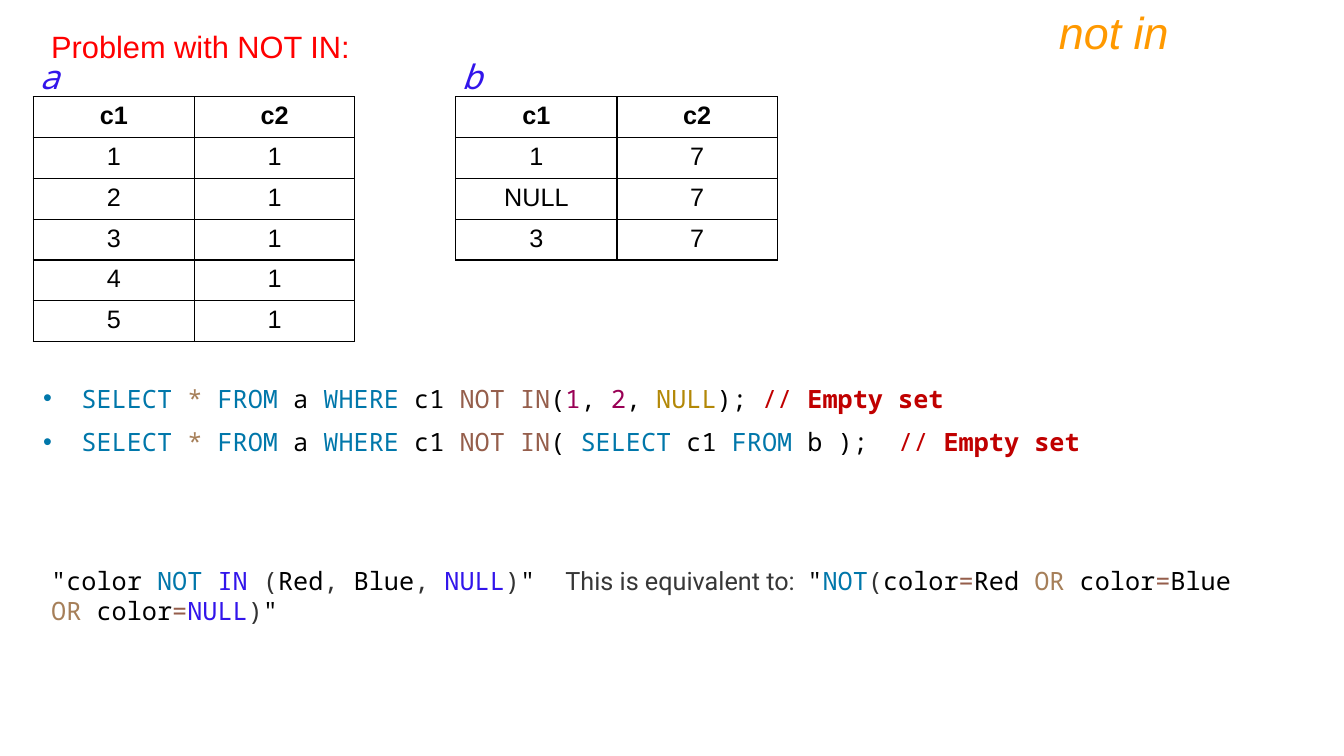
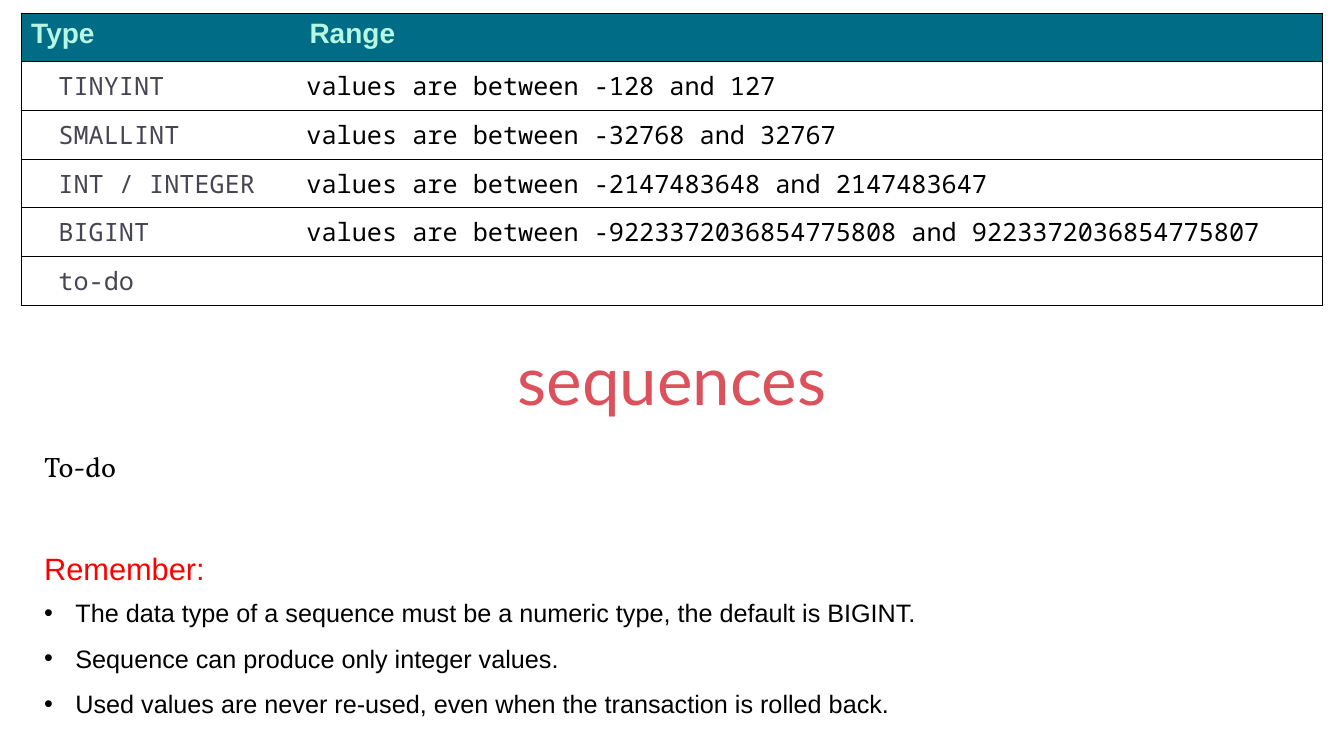
from dataclasses import dataclass
from typing import NamedTuple

from lxml.etree import SubElement
from pptx import Presentation
from pptx.dml.color import RGBColor
from pptx.enum.text import MSO_ANCHOR as Anchor, PP_ALIGN as Align
from pptx.oxml.ns import qn
from pptx.slide import Slide
from pptx.util import Emu, Pt

PX = 9144
SANS, MONO, ROBOTO, LATO, SERIF = "Arial", "Noto Sans Mono", "Roboto", "Lato", "Vollkorn"

BLACK = RGBColor(0x00, 0x00, 0x00)
RED = RGBColor(0xFF, 0x00, 0x00)
ORANGE = RGBColor(0xFF, 0x99, 0x00)
ROSE = RGBColor(0xDC, 0x52, 0x5C)
TEAL = RGBColor(0x00, 0x6C, 0x86)
MINT = RGBColor(0xB7, 0xF7, 0xE2)
SLATE = RGBColor(0x46, 0x46, 0x53)
KEYWORD = RGBColor(0x00, 0x77, 0xAA)
OPERATOR = RGBColor(0xA6, 0x7F, 0x59)
NEGATION = RGBColor(0x95, 0x5E, 0x4B)
NUMBER = RGBColor(0x99, 0x00, 0x55)
NULL_GOLD = RGBColor(0xB3, 0x88, 0x07)
COMMENT = RGBColor(0xC0, 0x00, 0x00)
VIOLET = RGBColor(0x32, 0x15, 0xEB)
BRACKET = RGBColor(0x33, 0x33, 0x33)
PROSE = RGBColor(0x37, 0x37, 0x37)


class Span(NamedTuple):
    text: str
    color: RGBColor = BLACK
    bold: bool = False
    font: str | None = None


class Rect(NamedTuple):
    left: int
    top: int
    width: int
    height: int

    def emu(self) -> list[Emu]:
        return [px(length) for length in self]


@dataclass
class Para:
    spans: list[Span]
    size: int
    font: str = SANS
    bold: bool = False
    italic: bool = False
    align: Align = Align.LEFT
    indent: int = 0
    before: float = 0
    line: float | None = None


@dataclass
class Grid:
    area: Rect
    columns: list[int]
    rows: list[list[Para]]
    border: float
    inner_sides: bool = True
    header_fill: RGBColor | None = None
    body_margins: list[int] | None = None


def px(length: float) -> Emu:
    return Emu(round(length * PX))


def write_para(para, content: Para) -> None:
    para.alignment = content.align
    if content.before:
        para.space_before = Pt(content.before)
    if content.line:
        para.line_spacing = content.line
    if content.indent:
        properties = para._p.get_or_add_pPr()
        properties.set("marL", str(px(content.indent)))
        properties.set("indent", str(-px(content.indent)))
        SubElement(properties, qn("a:buFont")).set("typeface", SANS)
        SubElement(properties, qn("a:buChar")).set("char", "•")
    para.font.name = content.font
    para.font.size = Pt(content.size)
    para.font.bold = content.bold
    para.font.italic = content.italic
    for part in content.spans:
        span = para.add_run()
        span.text = part.text
        span.font.color.rgb = part.color
        if part.bold:
            span.font.bold = True
        if part.font:
            span.font.name = part.font


def add_text(page: Slide, area: Rect, *contents: Para) -> None:
    frame = page.shapes.add_textbox(*area.emu()).text_frame
    frame.word_wrap = True
    for index, content in enumerate(contents):
        para = frame.add_paragraph() if index else frame.paragraphs[0]
        write_para(para, content)


def add_borders(cell, sides: str, width: float) -> None:
    properties = cell._tc.get_or_add_tcPr()
    for side in "LRTB":
        visible = side in sides
        line = SubElement(properties, qn(f"a:ln{side}"))
        line.set("w", str(Pt(width) if visible else 0))
        fill = SubElement(line, qn("a:solidFill" if visible else "a:noFill"))
        if visible:
            SubElement(fill, qn("a:srgbClr")).set("val", str(BLACK))


def add_grid(page: Slide, grid: Grid) -> None:
    count, last = len(grid.rows), len(grid.columns) - 1
    table = page.shapes.add_table(count, last + 1, *grid.area.emu()).table
    table.first_row = table.horz_banding = False
    for column, width in zip(table.columns, grid.columns):
        column.width = px(width)
    for r, contents in enumerate(grid.rows):
        table.rows[r].height = px(grid.area.height / count)
        for c, content in enumerate(contents):
            cell = table.cell(r, c)
            sides = "TB"
            if grid.inner_sides or c == 0:
                sides += "L"
            if grid.inner_sides or c == last:
                sides += "R"
            add_borders(cell, sides, grid.border)
            if r == 0 and grid.header_fill:
                cell.fill.solid()
                cell.fill.fore_color.rgb = grid.header_fill
            else:
                cell.fill.background()
            if r and grid.body_margins:
                cell.vertical_anchor = Anchor.MIDDLE
                cell.margin_left = px(grid.body_margins[c])
                cell.margin_right = px(7)
                cell.margin_top = cell.margin_bottom = 0
            write_para(cell.text_frame.paragraphs[0], content)


def heading(text: str, line: float | None = None) -> Para:
    return Para([Span(text, RED)], 22, line=line)


def add_relation(page: Slide, name: str, left: int, records: list[tuple[str, str]]) -> None:
    rows = [
        [Para([Span(value)], 18, bold=r == 0, align=Align.CENTER) for value in record]
        for r, record in enumerate([("c1", "c2"), *records])
    ]
    area = Rect(left, 96, 319, round(40.5 * len(rows)))
    add_grid(page, Grid(area, [160, 159], rows, border=1))
    add_text(page, Rect(left - 4, 51, 39, 50), Para([Span(name, VIOLET)], 24, MONO, italic=True))


def build_not_in(page: Slide) -> None:
    add_text(page, Rect(41, 4, 900, 59), heading("Problem with NOT IN:", 1.5))
    add_text(page, Rect(169, 0, 1000, 64),
             Para([Span("not in", ORANGE)], 32, italic=True, align=Align.RIGHT))
    add_relation(page, "a", 33, [(str(n), "1") for n in range(1, 6)])
    add_relation(page, "b", 452, [(key, "7") for key in ("1", "NULL", "3")])

    query = [
        Span("SELECT ", KEYWORD), Span("* ", OPERATOR), Span("FROM", KEYWORD), Span(" a "),
        Span("WHERE", KEYWORD), Span(" c1 "), Span("NOT IN", NEGATION),
    ]
    result = [Span("// ", COMMENT), Span("Empty set", COMMENT, bold=True)]
    literals = [
        Span("("), Span("1", NUMBER), Span(", "), Span("2", NUMBER), Span(", "),
        Span("NULL", NULL_GOLD), Span("); "),
    ]
    subquery = [
        Span("( "), Span("SELECT ", KEYWORD), Span("c1"), Span(" FROM ", KEYWORD), Span("b );  "),
    ]
    add_text(page, Rect(33, 375, 1299, 84),
             Para(query + literals + result, 18, MONO, indent=38),
             Para(query + subquery + result, 18, MONO, indent=38, before=9.3))

    equals, either = Span("=", NEGATION), Span("OR ", OPERATOR)
    opening, closing, comma = Span("(", BRACKET), Span(")", BRACKET), Span(", ", BRACKET)
    null = Span("NULL", VIOLET)
    add_text(page, Rect(41, 556, 1193, 40), Para([
        Span('"color '), Span("NOT ", KEYWORD), Span("IN ", VIOLET), opening, Span("Red"), comma,
        Span("Blue"), comma, null, closing, Span('"  '),
        Span("This is equivalent to:  ", PROSE, font=ROBOTO),
        Span('"'), Span("NOT", KEYWORD), opening, Span("color"), equals, Span("Red "), either,
        Span("color"), equals, Span("Blue "), either, Span("color"), equals, null, closing,
        Span('"'),
    ], 18, MONO))


def build_sequences(page: Slide) -> None:
    ranges = [
        ("TINYINT", "values are between -128 and 127"),
        ("SMALLINT", "values are between -32768 and 32767"),
        ("INT / INTEGER", "values are between -2147483648 and 2147483647"),
        ("BIGINT", "values are between -9223372036854775808 and 9223372036854775807"),
        ("to-do", ""),
    ]
    rows = [[Para([Span(title, MINT)], 20, bold=True) for title in ("Type", "Range")]]
    for name, limits in ranges:
        values = [Span(limits)] if limits else []
        rows.append([Para([Span(name, SLATE)], 18, MONO), Para(values, 18, MONO)])
    add_grid(page, Grid(Rect(21, 13, 1291, 290), [276, 1015], rows, border=0.75,
                        inner_sides=False, header_fill=TEAL, body_margins=[37, 7]))

    add_text(page, Rect(183, 331, 967, 100),
             Para([Span("sequences", ROSE)], 48, LATO, align=Align.CENTER))
    add_text(page, Rect(34, 441, 1263, 44), Para([Span("To-do")], 20, SERIF))
    facts = [
        "The data type of a sequence must be a numeric type, the default is BIGINT.",
        "Sequence can produce only integer values.",
        "Used values are never re-used, even when the transaction is rolled back.",
    ]
    add_text(page, Rect(34, 540, 1263, 175), heading("Remember:"), *(
        Para([Span(fact)], 18, indent=31, before=10.8 if index else 8.2)
        for index, fact in enumerate(facts)
    ))


def main() -> None:
    deck = Presentation()
    deck.slide_width, deck.slide_height = px(1333), px(750)
    for build in (build_not_in, build_sequences):
        build(deck.slides.add_slide(deck.slide_layouts[6]))
    deck.save("out.pptx")


if __name__ == "__main__":
    main()
